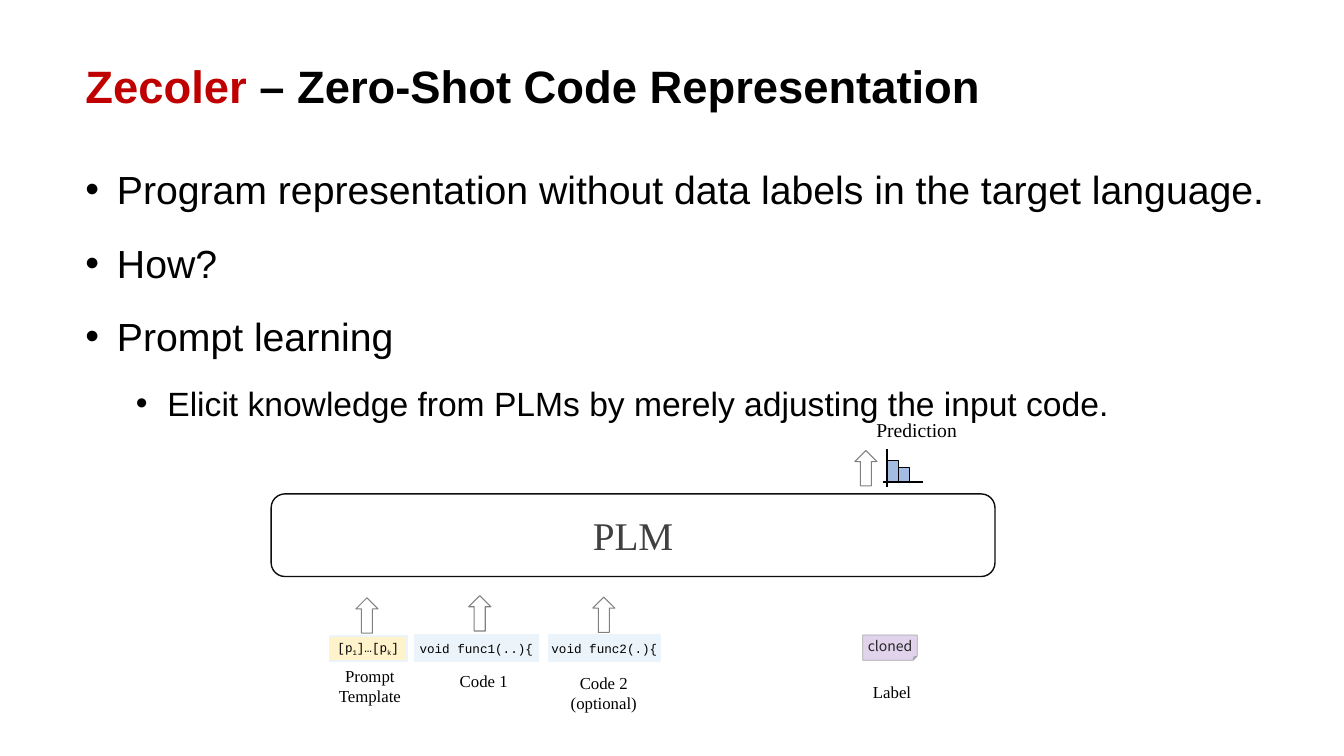
from dataclasses import dataclass
from lxml import etree
from pptx import Presentation
from pptx import util as u
from pptx.dml import color
from pptx.enum import shapes, text
from pptx.oxml import ns

Pt = u.Pt
Kind = shapes.MSO_SHAPE
MID = text.MSO_ANCHOR.MIDDLE


@dataclass(frozen=True)
class Theme:
    """Colours, fonts and type sizes of the slide."""
    black: str = "000000"
    red: str = "C00000"
    edge: str = "0D0D0D"
    dark: str = "404040"
    ink: str = "262626"
    gray: str = "808080"
    fold: str = "A6A6A6"
    lilac: str = "E1D3EB"
    sky: str = "EBF4FA"
    cream: str = "FFF3CC"
    bar: str = "A5BCE2"
    sans: str = "Arial"
    serif: str = "Times New Roman"
    mono: str = "Courier New"
    tag: str = "Noto Sans CJK SC"
    title: float = 32.4
    big: float = 28
    sub: float = 24
    pred: float = 14
    note: float = 12
    small: float = 10
    code: float = 9


T = Theme()


def rgb(value):
    """Turn a hex string into a colour."""
    return color.RGBColor.from_string(value)


def style(run, face, size, ink=T.black, bold=False):
    """Format one run."""
    font = run.font
    font.name, font.size, font.bold = face, Pt(size), bold
    font.color.rgb = rgb(ink)


def fill_text(shape, words, face, size, ink=T.black, pad=(0, 3.6), anchor=MID):
    """Put centred text, one paragraph a line, into a shape."""
    frame = shape.text_frame
    frame.text = words
    frame.word_wrap = True
    frame.vertical_anchor = anchor
    frame.margin_left = frame.margin_right = Pt(pad[0])
    frame.margin_top = frame.margin_bottom = Pt(pad[1])
    for para in frame.paragraphs:
        para.alignment = text.PP_ALIGN.CENTER
        for run in para.runs:
            style(run, face, size, ink)


def add_box(slide, kind, place, fill=None, line=None, width=1):
    """Add a flat preset shape."""
    box = slide.shapes.add_shape(kind, *map(Pt, place))
    box.shadow.inherit = False
    if fill:
        box.fill.solid()
        box.fill.fore_color.rgb = rgb(fill)
    else:
        box.fill.background()
    if line:
        box.line.color.rgb = rgb(line)
        box.line.width = Pt(width)
    else:
        box.line.fill.background()
    return box


def add_note(slide, place, words, pad=(0, 0), anchor=text.MSO_ANCHOR.TOP):
    """Add a caption below an input."""
    note = slide.shapes.add_textbox(*map(Pt, place))
    fill_text(note, words, T.serif, T.note, pad=pad, anchor=anchor)


def add_axis(slide, ends):
    """Add a plain black line."""
    axis = slide.shapes.add_connector(shapes.MSO_CONNECTOR.STRAIGHT, *map(Pt, ends))
    axis.line.color.rgb = rgb(T.black)
    axis.line.width = Pt(1)
    etree.SubElement(axis._element.spPr, ns.qn("a:effectLst"))


def add_title(slide):
    """Add the two-coloured title."""
    frame = slide.shapes.add_textbox(*map(Pt, (54, 28.8, 684, 55.4))).text_frame
    frame.word_wrap = True
    frame.vertical_anchor = text.MSO_ANCHOR.BOTTOM
    para = frame.paragraphs[0]
    para.line_spacing = 0.9
    for words, ink in (("Zecoler", T.red), (" – Zero-Shot Code Representation", T.black)):
        run = para.add_run()
        run.text = words
        style(run, T.sans, T.title, ink, True)


def add_list(slide, items):
    """Add the bulleted list of (level, words) items."""
    frame = slide.shapes.add_textbox(*map(Pt, (54, 98, 886.5, 198))).text_frame
    frame.word_wrap = True
    frame.text = "\n".join(words for _, words in items)
    for row, (para, (level, _)) in enumerate(zip(frame.paragraphs, items)):
        para.level = level
        para.line_spacing = 1.5
        if row:
            para.space_before = Pt(2)
        props = para._p.get_or_add_pPr()
        props.set("marL", str(Pt(22.5 + 36 * level)))
        props.set("indent", str(Pt(-22.5)))
        etree.SubElement(props, ns.qn("a:buFont")).set("typeface", T.sans)
        etree.SubElement(props, ns.qn("a:buChar")).set("char", "•")
        style(para.runs[0], T.sans, T.sub if level else T.big)


def add_prompt(slide):
    """Add the prompt template with its lowered indices."""
    box = add_box(slide, Kind.RECTANGLE, (235.4, 454.3, 55.4, 18), T.cream, T.sky)
    fill_text(box, "", T.mono, T.code)
    for words in ("[p", "1", "]…[p", "k", "]"):
        run = box.text_frame.paragraphs[0].add_run()
        run.text = words
        style(run, T.mono, T.code)
        if words in ("1", "k"):
            run.font._element.set("baseline", "-25000")


def add_chart_icon(slide):
    """Add the small bar drawing beside the prediction arrow."""
    base, left, wide = 344.2, 633.6, 7.9
    add_axis(slide, (630.7, base, 659.5, base))
    add_axis(slide, (left, 347.8, left, 320.4))
    for step, tall in enumerate((15.1, 10.1)):
        place = (left + step * wide, base - tall, wide, tall)
        add_box(slide, Kind.RECTANGLE, place, T.bar, T.black, 0.75)


def main():
    """Build and save the slide."""
    deck = Presentation()
    deck.slide_width, deck.slide_height = Pt(960), Pt(540)
    slide = deck.slides.add_slide(deck.slide_layouts[6])
    add_title(slide)
    add_list(slide, (
        (0, "Program representation without data labels in the target language."),
        (0, "How?"),
        (0, "Prompt learning"),
        (1, "Elicit knowledge from PLMs by merely adjusting the input code."),
    ))
    model = add_box(slide, Kind.ROUNDED_RECTANGLE, (193.7, 352.8, 517, 59), line=T.edge)
    fill_text(model, "PLM", T.serif, T.big, T.dark)
    for left, top in ((254.2, 427), (334.8, 425.5), (423.4, 426.5), (610.6, 321.8)):
        add_box(slide, Kind.UP_ARROW, (left, top, 15.8, 25.2), line=T.gray, width=0.75)
    add_prompt(slide)
    for left, wide, words in ((295.9, 88.6, "void func1(..){"), (391.7, 79.9, "void func2(.){")):
        code = add_box(slide, Kind.RECTANGLE, (left, 453.6, wide, 18.7), T.sky, T.sky)
        fill_text(code, words, T.mono, T.code)
    label = add_box(slide, Kind.FOLDED_CORNER, (616.3, 453.6, 38.9, 18), T.lilac, T.fold, 0.5)
    fill_text(label, "cloned", T.tag, T.small, T.ink)
    add_note(slide, (233.3, 475.2, 61.9, 28.8), "Prompt Template")
    add_note(slide, (314.6, 475.9, 61.9, 21.6), "Code 1", (7.2, 3.6))
    add_note(slide, (396, 480.2, 70.6, 28.8), "Code 2\n(optional)")
    add_note(slide, (617.8, 482.4, 38.9, 23.8), "Label", (0, 3.6), MID)
    guess = add_box(slide, Kind.ROUNDED_RECTANGLE, (620.6, 294.5, 68.4, 25.2))
    fill_text(guess, "Prediction", T.serif, T.pred)
    add_chart_icon(slide)
    deck.save("out.pptx")


if __name__ == "__main__":
    main()
